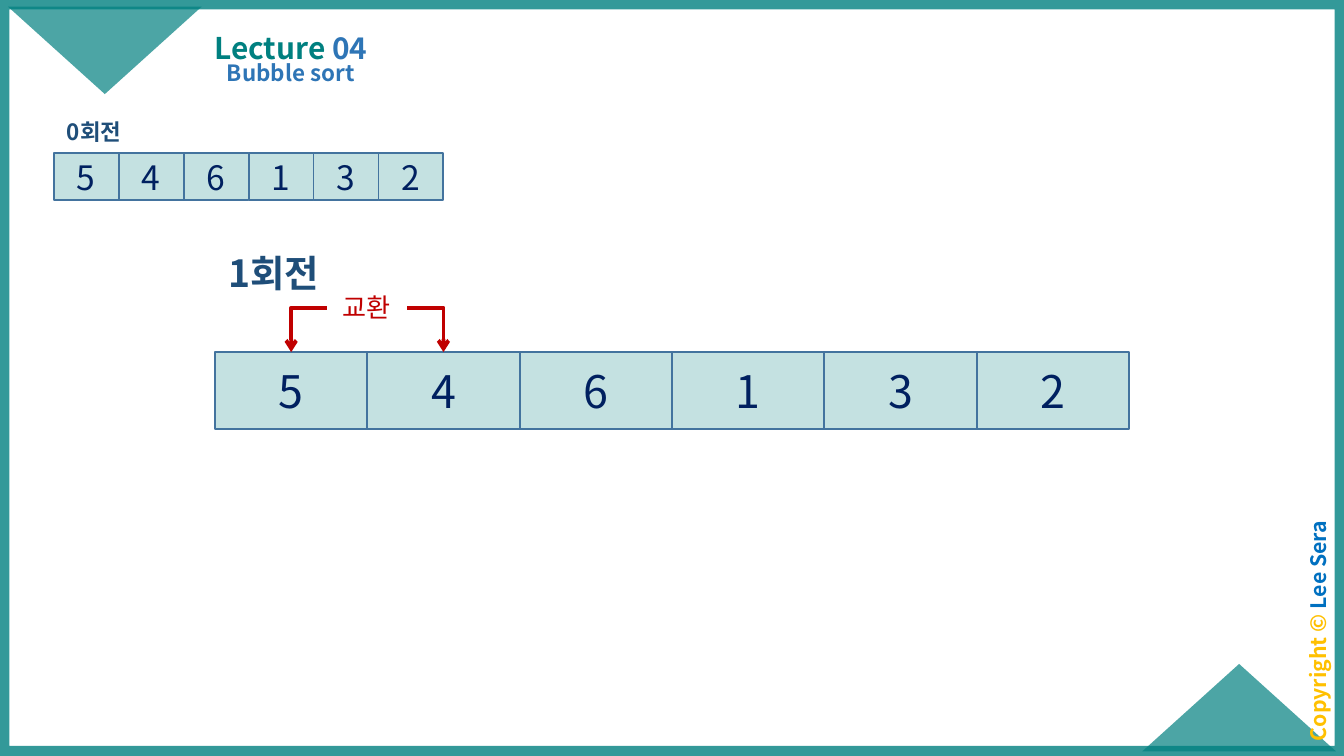
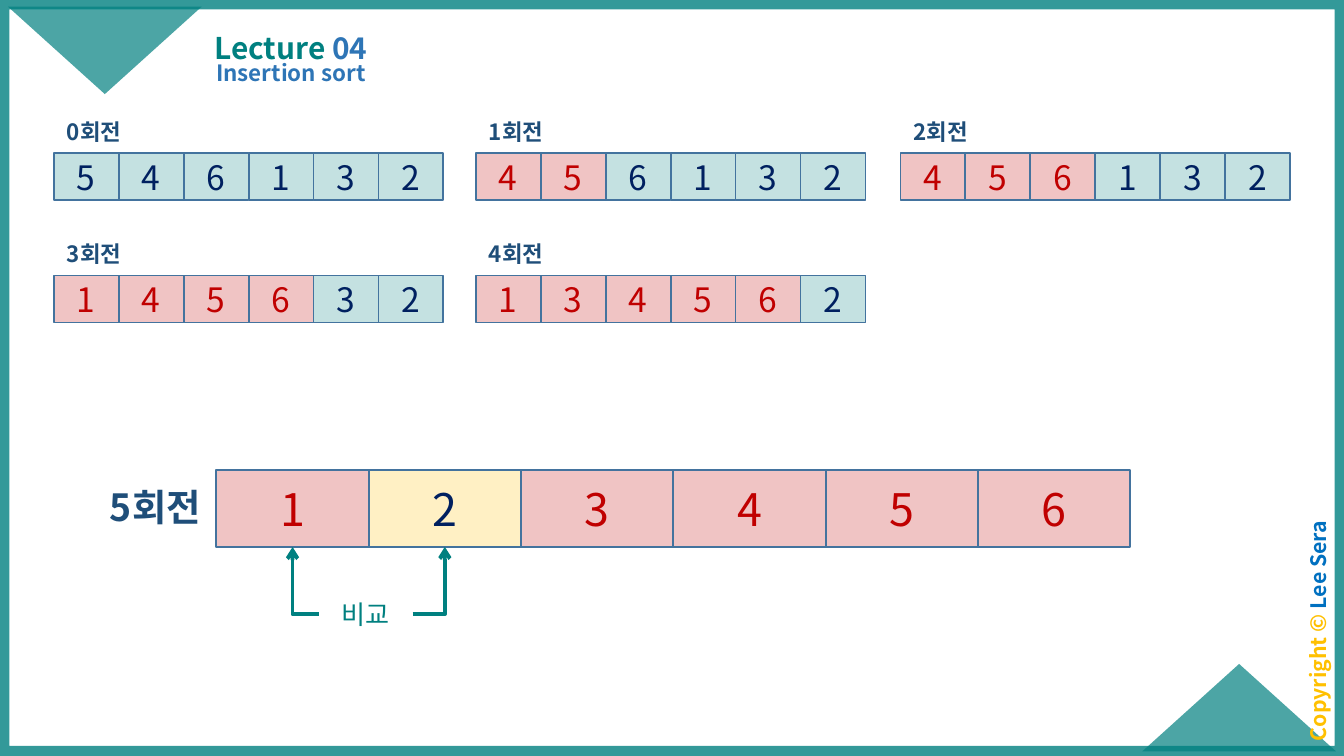
from pptx import Presentation, util as u
from pptx.dml.color import RGBColor
from pptx.enum import shapes, text
from pptx.oxml.ns import qn
from lxml import etree

FONT = "Noto Sans CJK KR"
TEAL, RED, YELLOW = "008080", "C00000", "FFC000"
NAVY, BLUE, DARK_BLUE, OUTLINE = "002060", "2E75B6", "1F4E79", "43739E"
TIGHT = (0.07, 0.04)
NORMAL = (0.1, 0.05)

VALUES = [5, 4, 6, 1, 3, 2]
SMALL = {"cell": 2.9 / 6, "height": 0.35, "size": 18}
LARGE = {"cell": 6.8 / 6, "height": 0.57, "size": 24}
COLUMNS = (0.4, 3.54, 6.7)
ROWS = (1.14, 2.05)


def paint(color_owner, color, opacity=100):
    """Make a fill solid in the given hex colour, opacity in percent."""
    color_owner.solid()
    color_owner.fore_color.rgb = RGBColor.from_string(color)
    if opacity < 100:
        choice = color_owner._xPr.find(qn("a:solidFill"))[0]
        etree.SubElement(choice, qn("a:alpha"), val=str(opacity * 1000))


def write(frame, runs, size, bold=False, align="LEFT", anchor="TOP",
          insets=NORMAL, spacing=None, before=None):
    """Fill a text frame with one paragraph of (words, colour) runs."""
    frame.word_wrap = True
    frame.vertical_anchor = getattr(text.MSO_ANCHOR, anchor)
    frame.margin_left = frame.margin_right = u.Inches(insets[0])
    frame.margin_top = frame.margin_bottom = u.Inches(insets[1])
    paragraph = frame.paragraphs[0]
    paragraph.alignment = getattr(text.PP_ALIGN, align)
    if spacing:
        paragraph.line_spacing = spacing
    if before:
        paragraph.space_before = u.Pt(before)
    for words, color in runs:
        run = paragraph.add_run()
        run.text = words
        run.font.size = u.Pt(size)
        run.font.bold = bold
        run.font.name = FONT
        paint(run.font.fill, color)
        etree.SubElement(run.font._element, qn("a:ea"), typeface=FONT)


class SortDeck:
    """The presentation, its shared style, and where shapes are being added."""

    def __init__(self):
        self.presentation = Presentation()
        self.presentation.slide_width = u.Inches(10)
        self.presentation.slide_height = u.Inches(10) * 9 // 16
        self.slide = None
        self.target = None

    def new_slide(self, subtitle):
        self.slide = self.presentation.slides.add_slide(self.presentation.slide_layouts[6])
        self.end_group()
        frame = self.shape("RECTANGLE", 0, 0, 10, 5.62)
        paint(frame.line.fill, TEAL, 80)
        frame.line.width = u.Pt(10)
        for left, top, rotation in ((8.5, 4.94, 0), (0.06, 0.05, 180)):
            corner = self.shape("ISOSCELES_TRIANGLE", left, top, 1.44, 0.65, TEAL, 70)
            corner.rotation = rotation
        notice = self.text(8.92, 4.57, 1.86, 0.25,
                           [("Copyright © ", YELLOW), ("Lee Sera", "0070C0")],
                           size=11.4, bold=True, align="CENTER", insets=TIGHT,
                           spacing=0.7, before=10)
        notice.rotation = 270
        heading = {"bold": True, "align": "CENTER", "insets": TIGHT, "spacing": 0.9}
        self.text(1.4, 0.06, 1.53, 0.47, [("Lecture ", TEAL), ("04", BLUE)],
                  size=16, anchor="BOTTOM", **heading)
        self.text(1.1, 0.42, 2.13, 0.34, [(subtitle, BLUE)], size=12, before=7.5, **heading)

    def start_group(self):
        self.target = self.slide.shapes.add_group_shape().shapes

    def end_group(self):
        self.target = self.slide.shapes

    def shape(self, kind, left, top, width, height, fill=None, opacity=100):
        shape = self.target.add_shape(getattr(shapes.MSO_SHAPE, kind),
                                      *map(u.Inches, (left, top, width, height)))
        shape.shadow.inherit = False
        shape.line.fill.background()
        if fill:
            paint(shape.fill, fill, opacity)
        else:
            shape.fill.background()
        return shape

    def text(self, left, top, width, height, runs, grow=False, **style):
        box = self.target.add_textbox(*map(u.Inches, (left, top, width, height)))
        write(box.text_frame, runs, **style)
        if grow:
            box.text_frame.auto_size = text.MSO_AUTO_SIZE.SHAPE_TO_FIT_TEXT
        return box

    def cells(self, left, top, values, fills, cell, height, size):
        """Draw a row of array cells; red cells also get red digits."""
        for index, (value, fill) in enumerate(zip(values, fills)):
            box = self.shape("RECTANGLE", left + index * cell, top, cell, height, fill, 23)
            paint(box.line.fill, OUTLINE)
            box.line.width = u.Pt(1)
            write(box.text_frame, [(str(value), RED if fill == RED else NAVY)],
                  size, align="CENTER", anchor="MIDDLE")

    def round_label(self, left, top, width, height, number, size):
        self.text(left, top, width, height, [(f"{number}회전", DARK_BLUE)],
                  size=size, bold=True, grow=True)

    def insertion_round(self, number):
        """Draw the small labelled array as it stands after a round of insertion sort."""
        row, column = divmod(number, len(COLUMNS))
        left, top = COLUMNS[column], ROWS[row]
        done = number + 1
        values = sorted(VALUES[:done]) + VALUES[done:]
        fills = [RED if number and index < done else TEAL for index in range(len(values))]
        self.start_group()
        self.cells(left, top, values, fills, **SMALL)
        self.round_label(left, top - 0.31, 1.57, 0.3, number, 12)
        self.end_group()

    def bent_arrow(self, start_x, start_y, end_x, end_y, color):
        """Draw an arrow that runs sideways first, then up or down to its end."""
        arrow = self.target.add_connector(shapes.MSO_CONNECTOR.ELBOW,
                                          *map(u.Inches, (start_x, start_y, end_x, end_y)))
        paint(arrow.line.fill, color)
        arrow.line.width = u.Pt(2)
        properties = arrow._element.spPr
        etree.SubElement(properties.find(qn("a:ln")), qn("a:tailEnd"), type="arrow")
        etree.SubElement(properties, qn("a:effectLst"))
        properties.find(qn("a:prstGeom")).set("prst", "bentConnector2")
        if end_x < start_x:
            # A half turn with the opposite vertical flip equals a horizontal flip.
            frame = properties.find(qn("a:xfrm"))
            frame.set("flipH", "0")
            frame.set("flipV", "1" if end_y > start_y else "0")
            frame.set("rot", str(180 * 60000))

    def pair_marker(self, word, color, row_left, cell_edge, bar, left, width):
        """Point from a word at the first two cells of a large row."""
        first, second = (row_left + LARGE["cell"] * (index + 0.5) for index in range(2))
        self.start_group()
        self.bent_arrow(left, bar, first, cell_edge, color)
        self.text(left, bar - 0.17, width, 0.34, [(word, color)],
                  size=14, align="CENTER", grow=True)
        self.bent_arrow(left + width, bar, second, cell_edge, color)
        self.end_group()


def bubble_slide(deck):
    deck.new_slide("Bubble sort")
    left, top = 1.6, 2.62
    deck.cells(left, top, VALUES, [TEAL] * len(VALUES), **LARGE)
    deck.pair_marker("교환", RED, left, top, bar=2.29, left=2.43, width=0.6)
    deck.insertion_round(0)
    deck.round_label(left, 1.81, 1.57, 0.44, 1, 20)


def insertion_slide(deck):
    deck.new_slide("Insertion sort")
    for number in range(5):
        deck.insertion_round(number)
    left, top = 1.61, 3.5
    deck.round_label(0.72, 3.55, 0.93, 0.44, 5, 20)
    deck.cells(left, top, sorted(VALUES), [RED, YELLOW] + [RED] * 4, **LARGE)
    deck.pair_marker("비교", TEAL, left, top + LARGE["height"], bar=4.57, left=2.37, width=0.7)


def main():
    deck = SortDeck()
    bubble_slide(deck)
    insertion_slide(deck)
    deck.presentation.save("out.pptx")


if __name__ == "__main__":
    main()
